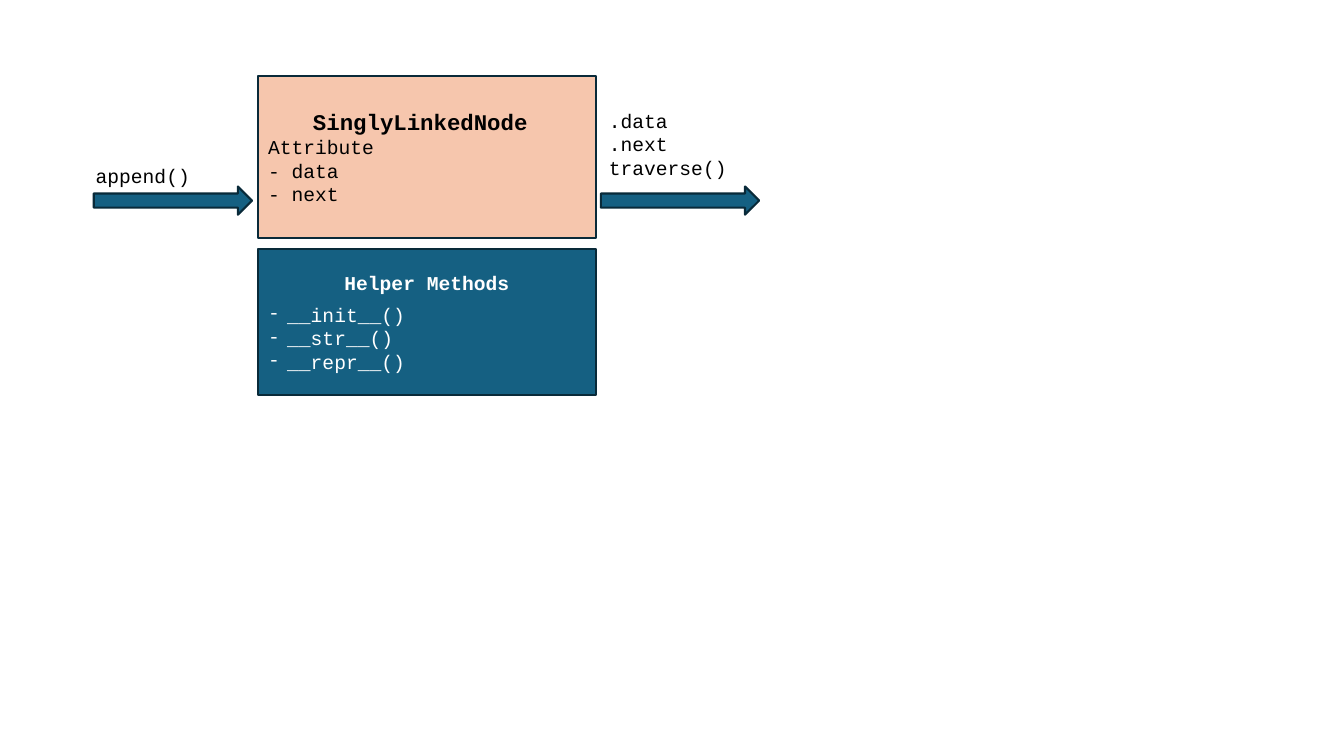
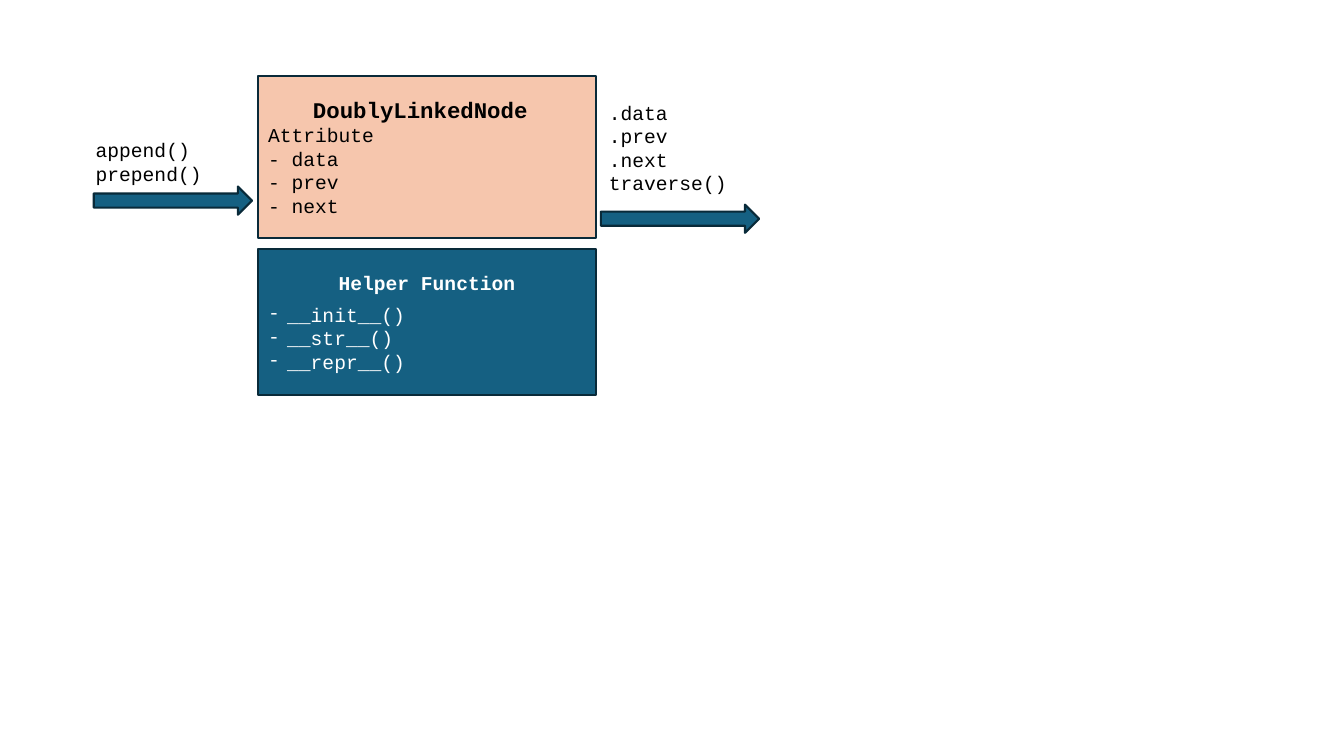
from lxml.etree import SubElement
from pptx import Presentation
from pptx.dml.color import RGBColor
from pptx.enum.shapes import MSO_SHAPE as Shape
from pptx.enum.text import MSO_ANCHOR as Anchor, MSO_AUTO_SIZE as AutoSize, PP_ALIGN as Align
from pptx.oxml.ns import qn
from pptx.util import Inches, Pt

# Shared style
PEACH = RGBColor(0xF6, 0xC6, 0xAD)
TEAL = RGBColor(0x15, 0x60, 0x82)
NAVY = RGBColor(0x09, 0x2A, 0x39)
BLACK = RGBColor(0, 0, 0)
WHITE = RGBColor(0xFF, 0xFF, 0xFF)
FONT = "Courier New"

# Shared layout, in inches: left, top, width, height
NODE_BOX = (2.56, 0.75, 3.35, 1.61)
HELPER_BOX = (2.56, 2.47, 3.35, 1.45)
ARROW_SIZE = (1.57, 0.28)
INPUT_ARROW = (0.93, 1.85)
OUTPUT_LEFT = 5.96
LABEL_WIDTH = 1.49
LINE_HEIGHT = 0.235
LABEL_PADDING = 0.1
BULLET_INDENT = 0.19

HELPERS = ["__init__()", "__str__()", "__repr__()"]


def add_line(frame, text, size=14, color=BLACK, bold=False, align=Align.LEFT,
             space_after=0, bullet=None):
    """Write one paragraph, filling the frame's empty first one if there is one."""
    paragraph = frame.paragraphs[-1]
    if paragraph.runs:
        paragraph = frame.add_paragraph()
    paragraph.alignment = align
    paragraph.space_after = Pt(space_after)
    if bullet:
        properties = paragraph._p.get_or_add_pPr()
        properties.set("marL", str(Inches(BULLET_INDENT)))
        properties.set("indent", str(-Inches(BULLET_INDENT)))
        SubElement(properties, qn("a:buFont"), typeface=FONT)
        SubElement(properties, qn("a:buChar"), char=bullet)
    run = paragraph.add_run()
    run.text = text
    run.font.name = FONT
    run.font.size = Pt(size)
    run.font.bold = bold
    run.font.color.rgb = color


def add_block(slide, kind, box, fill):
    """Add an outlined shape and return its text frame."""
    shape = slide.shapes.add_shape(kind, *map(Inches, box))
    shape.shadow.inherit = False
    shape.fill.solid()
    shape.fill.fore_color.rgb = fill
    shape.line.color.rgb = NAVY
    shape.line.width = Pt(1.5)
    frame = shape.text_frame
    frame.word_wrap = True
    frame.vertical_anchor = Anchor.MIDDLE
    return frame


def add_node(slide, box, name, attributes):
    frame = add_block(slide, Shape.RECTANGLE, box, PEACH)
    # The trailing space shifts the centred name slightly left
    add_line(frame, name + " ", size=16, bold=True, align=Align.CENTER)
    add_line(frame, "Attribute")
    for attribute in attributes:
        add_line(frame, "- " + attribute)


def add_helpers(slide, box, title):
    frame = add_block(slide, Shape.RECTANGLE, box, TEAL)
    add_line(frame, title, color=WHITE, bold=True, align=Align.CENTER, space_after=6)
    for helper in HELPERS:
        add_line(frame, helper, color=WHITE, bullet="-")


def add_labelled_arrow(slide, left, top, lines, label_offset, label_top):
    """Add an arrow with its label, whose place is relative to the arrow."""
    add_block(slide, Shape.RIGHT_ARROW, (left, top, *ARROW_SIZE), TEAL)
    height = LABEL_PADDING + LINE_HEIGHT * len(lines)
    label = slide.shapes.add_textbox(Inches(left + label_offset), Inches(top + label_top),
                                     Inches(LABEL_WIDTH), Inches(height))
    frame = label.text_frame
    frame.word_wrap = True
    frame.auto_size = AutoSize.SHAPE_TO_FIT_TEXT
    for line in lines:
        add_line(frame, line)


def add_node_slide(presentation, name, attributes, helper_title, inputs, input_label_top,
                   output_top, output_label_top):
    slide = presentation.slides.add_slide(presentation.slide_layouts[6])
    add_node(slide, NODE_BOX, name, attributes)
    add_helpers(slide, HELPER_BOX, helper_title)
    outputs = ["." + attribute for attribute in attributes] + ["traverse()"]
    add_labelled_arrow(slide, OUTPUT_LEFT, output_top, outputs, -0.02, output_label_top)
    add_labelled_arrow(slide, *INPUT_ARROW, inputs, -0.08, input_label_top)


def main():
    presentation = Presentation()
    presentation.slide_width = Inches(13.33)
    presentation.slide_height = Inches(7.5)
    add_node_slide(presentation, "SinglyLinkedNode", ["data", "next"], "Helper Methods",
                   inputs=["append()"], input_label_top=-0.27,
                   output_top=1.85, output_label_top=-0.82)
    add_node_slide(presentation, "DoublyLinkedNode", ["data", "prev", "next"],
                   "Helper Function",
                   inputs=["append()", "prepend()"], input_label_top=-0.53,
                   output_top=2.03, output_label_top=-1.08)
    presentation.save("out.pptx")


if __name__ == "__main__":
    main()
